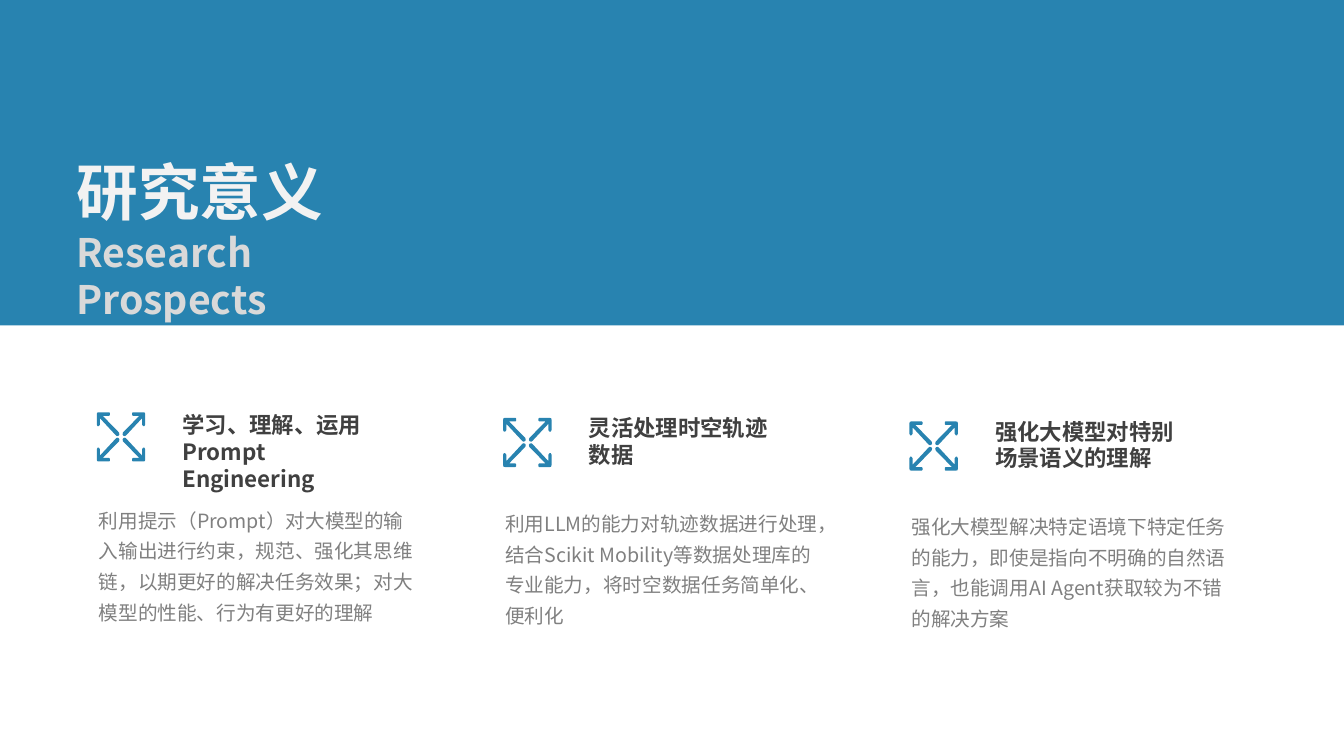
from lxml import etree
from pptx import Presentation
from pptx import util as u
from pptx.dml.color import RGBColor
from pptx.enum import shapes, text
from pptx.oxml.ns import qn

BLUE = RGBColor(0x28, 0x83, 0xB0)
NEAR_WHITE = RGBColor(0xF2, 0xF2, 0xF2)
LIGHT_GREY = RGBColor(0xD9, 0xD9, 0xD9)
DARK_GREY = RGBColor(0x40, 0x40, 0x40)
MID_GREY = RGBColor(0x80, 0x80, 0x80)
FONT = "Noto Sans CJK SC"

prs = Presentation()
prs.slide_width, prs.slide_height = u.Cm(33.87), u.Cm(19.05)
slide = prs.slides.add_slide(prs.slide_layouts[6])


def add_text(left, top, width, height, lines, line_spacing=None):
    """Add a text box; each line is (wording, size, colour, bold)."""
    box = slide.shapes.add_textbox(u.Cm(left), u.Cm(top), u.Cm(width), u.Cm(height))
    frame = box.text_frame
    frame.text = "\n".join(line[0] for line in lines)
    frame.word_wrap = True
    frame.auto_size = text.MSO_AUTO_SIZE.SHAPE_TO_FIT_TEXT
    for paragraph, (_, size, colour, bold) in zip(frame.paragraphs, lines):
        paragraph.line_spacing = line_spacing
        font = paragraph.runs[0].font
        font.size, font.bold, font.name = u.Pt(size), bold, FONT
        font.color.rgb = colour
        east_asian = etree.Element(qn("a:ea"), typeface=FONT)
        paragraph.runs[0]._r.rPr.find(qn("a:latin")).addnext(east_asian)


def paint(shape):
    shape.shadow.inherit = False
    shape.fill.solid()
    shape.fill.fore_color.rgb = BLUE
    shape.line.fill.background()


# Header band and title
band = slide.shapes.add_shape(shapes.MSO_SHAPE.RECTANGLE, 0, 0, prs.slide_width, u.Cm(8.2))
paint(band)
add_text(1.68, 3.76, 9.53, 3.33, [("研究意义", 44, NEAR_WHITE, True),
                                  ("Research Prospects", 28, LIGHT_GREY, True)])

# Upper left arrow of the icon, in units of 0.1 mm; the others mirror it
ICON_WIDTH, ICON_HEIGHT = 122, 124
ARROW = [(56, 51), (57, 56), (55, 59), (51, 60), (48, 58), (8, 15), (8, 31), (5, 35), (2, 35),
         (0, 31), (0, 5), (1, 1), (5, 0), (31, 0), (33, 2), (33, 7), (31, 9), (15, 9)]
arrows = [[(ICON_WIDTH - x if flip_x else x, ICON_HEIGHT - y if flip_y else y) for x, y in ARROW]
          for flip_x in (False, True) for flip_y in (False, True)]

# Three columns: heading, icon top, body
points = [
    ("学习、理解、运用Prompt Engineering", 10.39,
     "利用提示（Prompt）对大模型的输入输出进行约束，规范、强化其思维链，以期更好的解决任务效果；对大模型的性能、行为有更好的理解"),
    ("灵活处理时空轨迹数据", 10.53,
     "利用LLM的能力对轨迹数据进行处理，结合Scikit Mobility等数据处理库的专业能力，将时空数据任务简单化、便利化"),
    ("强化大模型对特别场景语义的理解", 10.62,
     "强化大模型解决特定语境下特定任务的能力，即使是指向不明确的自然语言，也能调用AI Agent获取较为不错的解决方案"),
]
for column, (heading, icon_top, body) in enumerate(points):
    left = 2.24 + 10.24 * column
    top = 10.24 + 0.08 * column

    outline = slide.shapes.build_freeform(*arrows[0][0], scale=u.Cm(0.01))
    outline.add_line_segments(arrows[0][1:])
    for arrow in arrows[1:]:
        outline.move_to(*arrow[0])
        outline.add_line_segments(arrow[1:])
    paint(outline.convert_to_shape(u.Cm(left + 0.2), u.Cm(icon_top)))

    add_text(left + 2.11, top, 5.13, 1.63, [(heading, 16, DARK_GREY, True)])
    add_text(left, top + 2.28, 8.59, 3.35, [(body, 14, MID_GREY, False)], 1.3)

prs.save("out.pptx")
